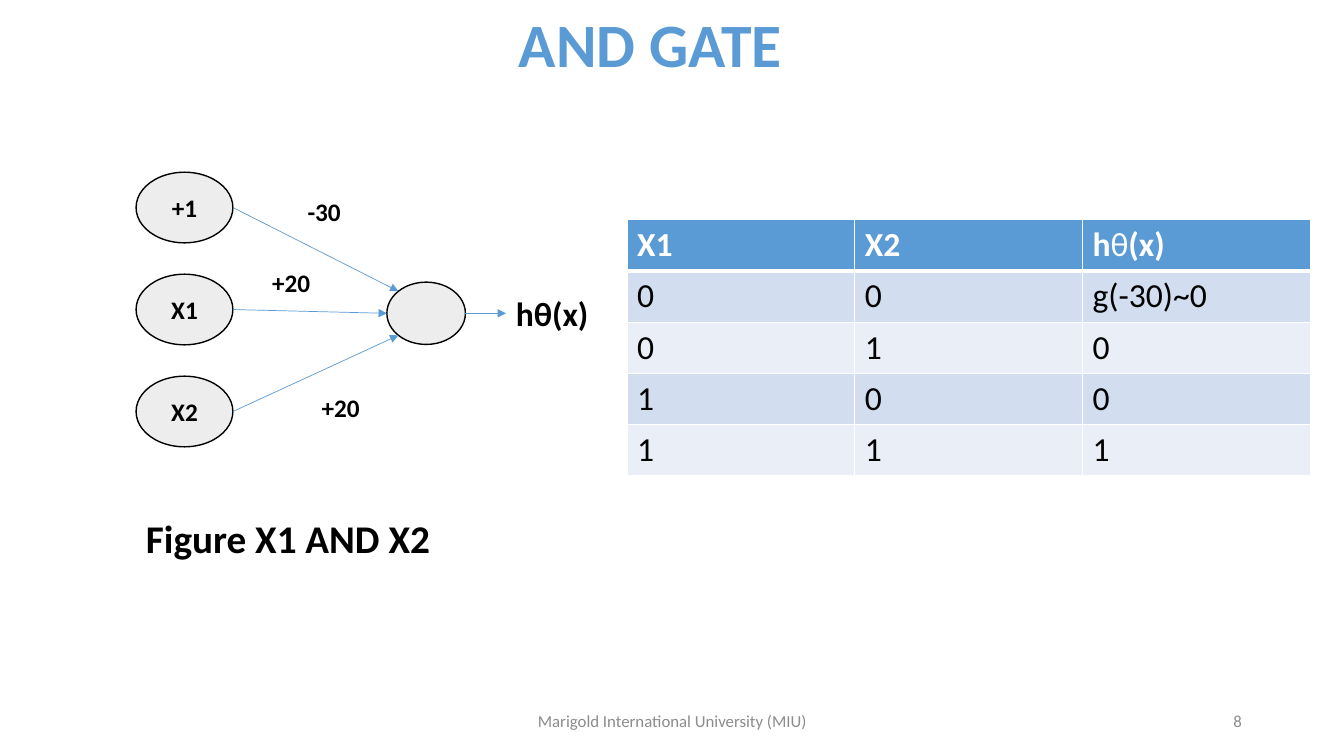
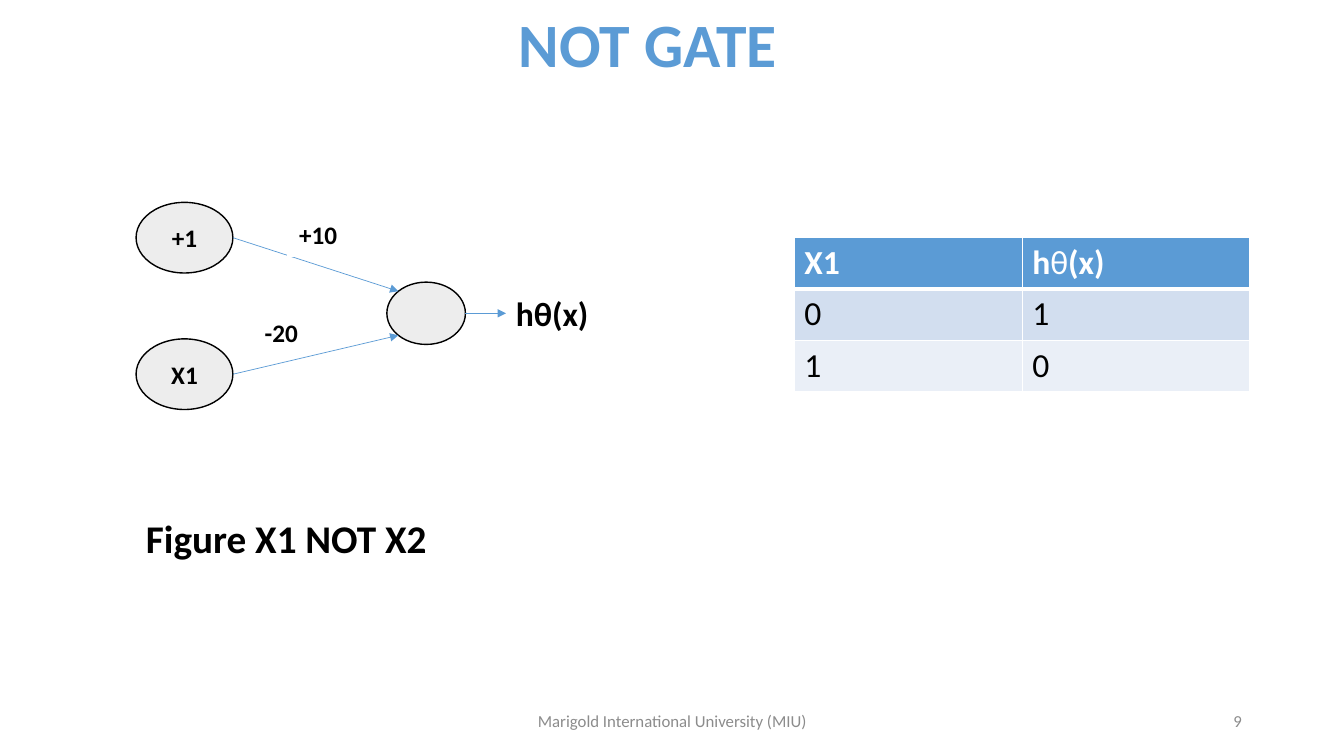
from dataclasses import dataclass
from math import cos, radians, sin

from lxml.etree import SubElement
from pptx import Presentation
from pptx.dml.color import RGBColor as Rgb
from pptx.enum.shapes import MSO_CONNECTOR as Connector, MSO_SHAPE as Preset
from pptx.enum.text import MSO_ANCHOR as Anchor, PP_ALIGN as Align
from pptx.oxml.ns import qn
from pptx.util import Cm, Pt


@dataclass(frozen=True)
class Theme:
    """Colours, font, type sizes and text styles of the deck."""

    font: str = "Calibri"
    accent: str = "5B9BD5"
    ink: str = "000000"
    paper: str = "FFFFFF"
    muted: str = "8C8C8C"
    node: str = "EDEDED"
    bands: tuple = ("D2DEEF", "EAEFF7")
    title_size: int = 44
    caption_size: int = 28
    body_size: int = 24
    label_size: int = 18
    footer_size: int = 12

    def text(self, size, color, bold=False):
        """Return the format values of a run."""
        return {"name": self.font, "size": Pt(size), "bold": bold, "color": color}


THEME = Theme()
TITLE = THEME.text(THEME.title_size, THEME.accent, True)
CAPTION = THEME.text(THEME.caption_size, THEME.ink, True)
OUTPUT = THEME.text(THEME.body_size, THEME.ink, True)
LABEL = THEME.text(THEME.label_size, THEME.ink, True)
FOOTER = THEME.text(THEME.footer_size, THEME.muted)
HEADER_CELL = THEME.text(THEME.body_size, THEME.paper, True)
BODY_CELL = THEME.text(THEME.body_size, THEME.ink)

FOOTER_TEXT = "Marigold International University (MIU)"
HYPOTHESIS = "hθ(x)"
HYPOTHESIS_HEADER = (("h", True), ("θ", False), ("(x)", True))
NODE_LEFT, NODE_WIDTH, NODE_HEIGHT = 3.43, 2.44, 1.78
NEURON = (9.75, 7.11, 1.98, 1.57)
WEIGHT_HEIGHT = 1.09
COLUMN_WIDTH, ROW_HEIGHT = 5.74, 1.29

GATES = (
    {
        "title": "AND GATE",
        "caption": "Figure X1 AND X2",
        "page": 8,
        "inputs": ("+1", "X1", "X2"),
        "first_top": 4.34,
        "pitch": 2.57,
        "angles": (225, 180, 135),
        "weights": (("-30", 7.47, 4.78, 1.4), ("+20", 6.5, 6.58, 1.68), ("+20", 7.77, 9.73, 1.63)),
        "table_at": (15.8, 5.54),
        "rows": (
            ("X1", "X2", HYPOTHESIS_HEADER),
            ("0", "0", "g(-30)~0"),
            ("0", "1", "0"),
            ("1", "0", "0"),
            ("1", "1", "1"),
        ),
    },
    {
        "title": "NOT GATE",
        "caption": "Figure X1 NOT X2",
        "page": 9,
        "inputs": ("+1", "X1"),
        "first_top": 5.1,
        "pitch": 3.44,
        "angles": (225, 135),
        "weights": (("+10", 7.26, 5.36, 1.52), ("-20", 6.25, 7.82, 1.68)),
        "table_at": (20.02, 5.99),
        "rows": (("X1", HYPOTHESIS_HEADER), ("0", "1"), ("1", "0")),
    },
)


def set_values(target, values):
    """Set each attribute of the target from a dict."""
    for name, value in values.items():
        setattr(target, name, value)


def write(paragraph, content, style, **layout):
    """Write a string, or pairs of text and boldness, in one style."""
    set_values(paragraph, layout)
    pieces = ((content, style["bold"]),) if isinstance(content, str) else content
    for text, bold in pieces:
        run = paragraph.add_run()
        run.text = text
        values = {**style, "bold": bold}
        run.font.color.rgb = Rgb.from_string(values.pop("color"))
        set_values(run.font, values)


def add_text(slide, box, content, style, anchor=Anchor.MIDDLE, wrap=True, **layout):
    """Add a text box with one paragraph."""
    shape = slide.shapes.add_textbox(*map(Cm, box))
    set_values(shape.text_frame, {"word_wrap": wrap, "vertical_anchor": anchor})
    write(shape.text_frame.paragraphs[0], content, style, **layout)
    return shape


def add_label_shape(slide, preset, box, fill, outline, text=""):
    """Add a filled shape with a centred label."""
    shape = slide.shapes.add_shape(preset, *map(Cm, box))
    shape.shadow.inherit = False
    shape.fill.solid()
    shape.fill.fore_color.rgb = Rgb.from_string(fill)
    shape.line.color.rgb = Rgb.from_string(outline)
    shape.line.width = Pt(1)
    margins = dict.fromkeys(("margin_left", "margin_right", "margin_top", "margin_bottom"), 0)
    set_values(shape.text_frame, {"vertical_anchor": Anchor.MIDDLE, **margins})
    if text:
        write(shape.text_frame.paragraphs[0], text, LABEL, alignment=Align.CENTER)
    return shape


def add_arrow(slide, start, end):
    """Add a thin arrow between two points."""
    arrow = slide.shapes.add_connector(Connector.STRAIGHT, *map(Cm, (*start, *end)))
    arrow.line.color.rgb = Rgb.from_string(THEME.accent)
    arrow.line.width = Pt(0.5)
    properties = arrow.element.spPr
    SubElement(properties.find(qn("a:ln")), qn("a:tailEnd"), type="triangle")
    SubElement(properties, qn("a:effectLst"))
    return arrow


def rim_point(box, angle):
    """Return the point of an ellipse at an angle, clockwise from the right."""
    left, top, width, height = box
    turn = radians(angle)
    return left + width / 2 * (1 + cos(turn)), top + height / 2 * (1 + sin(turn))


def add_network(slide, gate):
    """Draw the input nodes, the neuron, the weights and the output."""
    add_label_shape(slide, Preset.OVAL, NEURON, THEME.node, THEME.ink)
    for index, (name, angle) in enumerate(zip(gate["inputs"], gate["angles"])):
        box = (NODE_LEFT, gate["first_top"] + index * gate["pitch"], NODE_WIDTH, NODE_HEIGHT)
        add_label_shape(slide, Preset.OVAL, box, THEME.node, THEME.ink, name)
        add_arrow(slide, rim_point(box, 0), rim_point(NEURON, angle))
    for text, left, top, width in gate["weights"]:
        box = (left, top, width, WEIGHT_HEIGHT)
        add_label_shape(slide, Preset.RECTANGLE, box, THEME.paper, THEME.paper, text)
    output = add_text(slide, (12.75, 7.26, 2.36, 1.27), HYPOTHESIS, OUTPUT, Anchor.TOP, wrap=False)
    start = rim_point(NEURON, 0)
    add_arrow(slide, start, (12.75, start[1])).end_connect(output, 1)


def style_cell(cell, fill, bottom_width):
    """Give a cell white borders and a fill."""
    properties = cell._tc.get_or_add_tcPr()
    for side, width in (("L", 1), ("R", 1), ("T", 1), ("B", bottom_width)):
        line = SubElement(properties, qn(f"a:ln{side}"), w=str(Pt(width)))
        SubElement(SubElement(line, qn("a:solidFill")), qn("a:srgbClr"), val=THEME.paper)
    cell.fill.solid()
    cell.fill.fore_color.rgb = Rgb.from_string(fill)


def add_truth_table(slide, origin, rows):
    """Add a banded table with a header row."""
    columns = len(rows[0])
    size = (columns * COLUMN_WIDTH, len(rows) * ROW_HEIGHT)
    table = slide.shapes.add_table(len(rows), columns, *map(Cm, (*origin, *size))).table
    for row_index, row in enumerate(rows):
        header = row_index == 0
        fill = THEME.accent if header else THEME.bands[(row_index - 1) % 2]
        for column_index, content in enumerate(row):
            cell = table.cell(row_index, column_index)
            style_cell(cell, fill, 3 if row_index == 0 else 1)
            write(cell.text_frame.paragraphs[0], content, HEADER_CELL if header else BODY_CELL)


def add_frame(slide, gate):
    """Add the title, the caption and the footer."""
    add_text(slide, (12.83, 0.23, 7.19, 1.93), gate["title"], TITLE, line_spacing=0.9)
    add_text(slide, (3.43, 13.06, 8.1, 1.27), gate["caption"], CAPTION, Anchor.TOP,
             line_spacing=0.8, space_before=Pt(10))
    add_text(slide, (11.23, 17.65, 11.43, 1.02), FOOTER_TEXT, FOOTER, alignment=Align.CENTER)
    add_text(slide, (23.93, 17.65, 7.62, 1.02), str(gate["page"]), FOOTER, alignment=Align.RIGHT)


def main():
    """Build and save the presentation."""
    presentation = Presentation()
    set_values(presentation, {"slide_width": Cm(33.87), "slide_height": Cm(19.05)})
    for gate in GATES:
        slide = presentation.slides.add_slide(presentation.slide_layouts[6])
        add_frame(slide, gate)
        add_network(slide, gate)
        add_truth_table(slide, gate["table_at"], gate["rows"])
    presentation.save("out.pptx")


if __name__ == "__main__":
    main()
